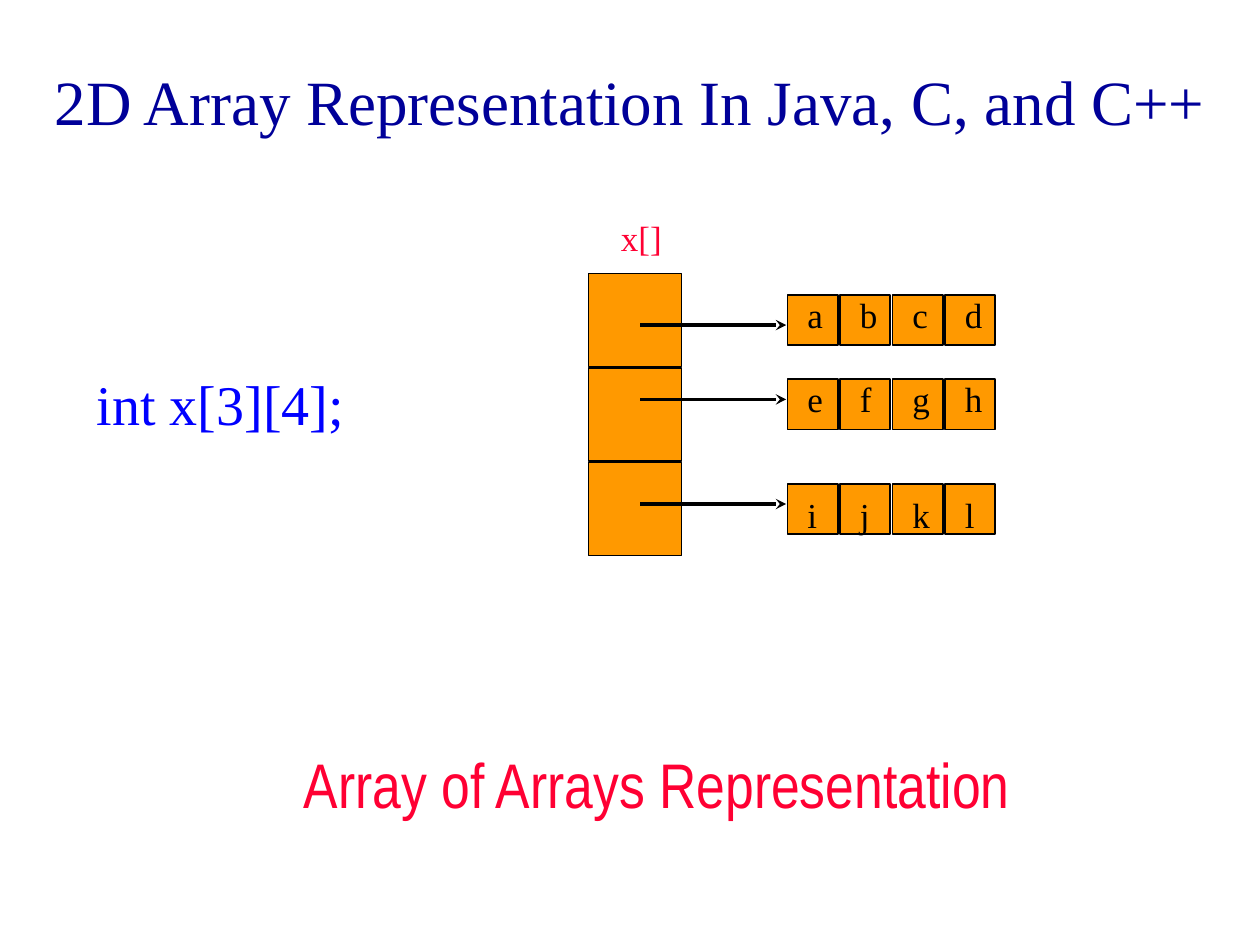
import pptx
import pptx.dml.color
import pptx.enum.shapes
import pptx.enum.text
import pptx.oxml
import pptx.oxml.ns
import pptx.util

Inches = pptx.util.Inches
ANCHOR = pptx.enum.text.MSO_ANCHOR
ALIGN = pptx.enum.text.PP_ALIGN
SERIF = "Times New Roman"
BLACK, ORANGE, RED = "000000", "FF9900", "FF0033"


def color(hex_string):
    return pptx.dml.color.RGBColor.from_string(hex_string)


def write_text(shape, text, size=20, font=SERIF, fill=BLACK, align=ALIGN.LEFT,
               anchor=ANCHOR.TOP, margin_top=0.05):
    frame = shape.text_frame
    frame.word_wrap = True
    frame.auto_size = pptx.enum.text.MSO_AUTO_SIZE.NONE
    frame.vertical_anchor = anchor
    frame.margin_top = Inches(margin_top)
    frame.text = text
    paragraph = frame.paragraphs[0]
    paragraph.alignment = align
    paragraph.font.size = pptx.util.Pt(size)
    paragraph.font.name = font
    paragraph.font.color.rgb = color(fill)


def add_text(slide, box, text, **text_format):
    shape = slide.shapes.add_textbox(*map(Inches, box))
    write_text(shape, text, **text_format)


def add_cell(slide, left, top, side):
    cell = slide.shapes.add_shape(
        pptx.enum.shapes.MSO_SHAPE.RECTANGLE, *map(Inches, (left, top, side, side)))
    cell.shadow.inherit = False
    cell.fill.solid()
    cell.fill.fore_color.rgb = color(ORANGE)
    cell.line.color.rgb = color(BLACK)
    cell.line.width = pptx.util.Pt(1)


def add_arrow(slide, start, end, y):
    arrow = slide.shapes.add_connector(
        pptx.enum.shapes.MSO_CONNECTOR.STRAIGHT, *map(Inches, (start, y, end, y)))
    arrow.line.color.rgb = color(BLACK)
    arrow.line.width = pptx.util.Pt(2)
    properties = arrow.element.spPr
    head = pptx.oxml.parse_xml(
        f'<a:tailEnd {pptx.oxml.ns.nsdecls("a")} type="stealth"/>')
    properties.find(pptx.oxml.ns.qn("a:ln")).append(head)
    properties.append(pptx.oxml.parse_xml(
        f'<a:effectLst {pptx.oxml.ns.nsdecls("a")}/>'))


def add_title(slide, box, text):
    title = slide.shapes.title
    title.left, title.top, title.width, title.height = map(Inches, box)
    write_text(title, text, size=36, fill="000099", align=ALIGN.CENTER,
               anchor=ANCHOR.MIDDLE)


def add_pointer_column(slide, left, top, count):
    add_text(slide, (left + 0.16, top - 0.5, 0.83, 0.43), "x[]", fill=RED)
    for index in range(count):
        add_cell(slide, left, top + 0.75 * index, 0.74)


def add_row_cells(slide, left, top, letters):
    for index in range(len(letters)):
        add_cell(slide, left + index * 5 / 12, top, 0.4)


def add_row_letters(slide, left, top, letters):
    for index, letter in enumerate(letters):
        add_text(slide, (left + index * 5 / 12, top, 0.4, 0.43), letter)


def add_array_diagram(slide, left, top):
    rows = [
        ("abcd", 0.17, 0.41, 0.11),
        ("efgh", 0.84, 1.0, 0.78),
        ("ijkl", 1.67, 1.83, 1.7),
    ]
    add_pointer_column(slide, left, top, len(rows))
    for letters, cell_offset, arrow_offset, letter_offset in rows:
        add_row_cells(slide, left + 1.58, top + cell_offset, letters)
        add_arrow(slide, left + 0.41, left + 1.57, top + arrow_offset)
        add_row_letters(slide, left + 1.64, top + letter_offset, letters)


def main():
    presentation = pptx.Presentation()
    presentation.slide_width = Inches(10)
    presentation.slide_height = Inches(7.5)
    slide = presentation.slides.add_slide(presentation.slide_layouts[5])
    add_title(slide, (0.25, 0.17, 9.5, 1.25),
              "2D Array Representation In Java, C, and C++")
    add_text(slide, (0.67, 2.83, 2.5, 0.75), "int x[3][4];",
             size=32, fill="0000FF", margin_top=0.1)
    add_array_diagram(slide, 4.67, 2.17)
    add_text(slide, (2.08, 5.83, 6.27, 0.62), "Array of Arrays Representation",
             size=36, font="Arial Narrow", fill=RED, align=ALIGN.CENTER,
             margin_top=0.09)
    presentation.save("out.pptx")


if __name__ == "__main__":
    main()
